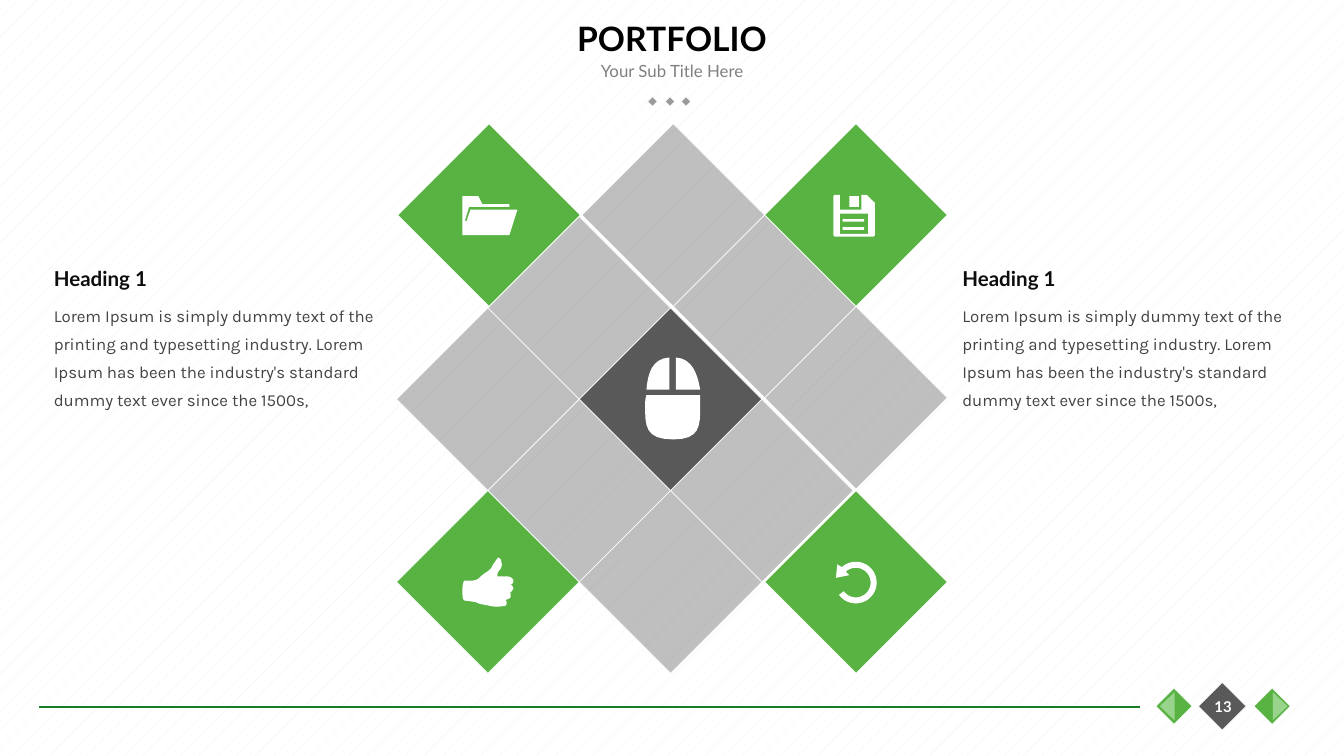
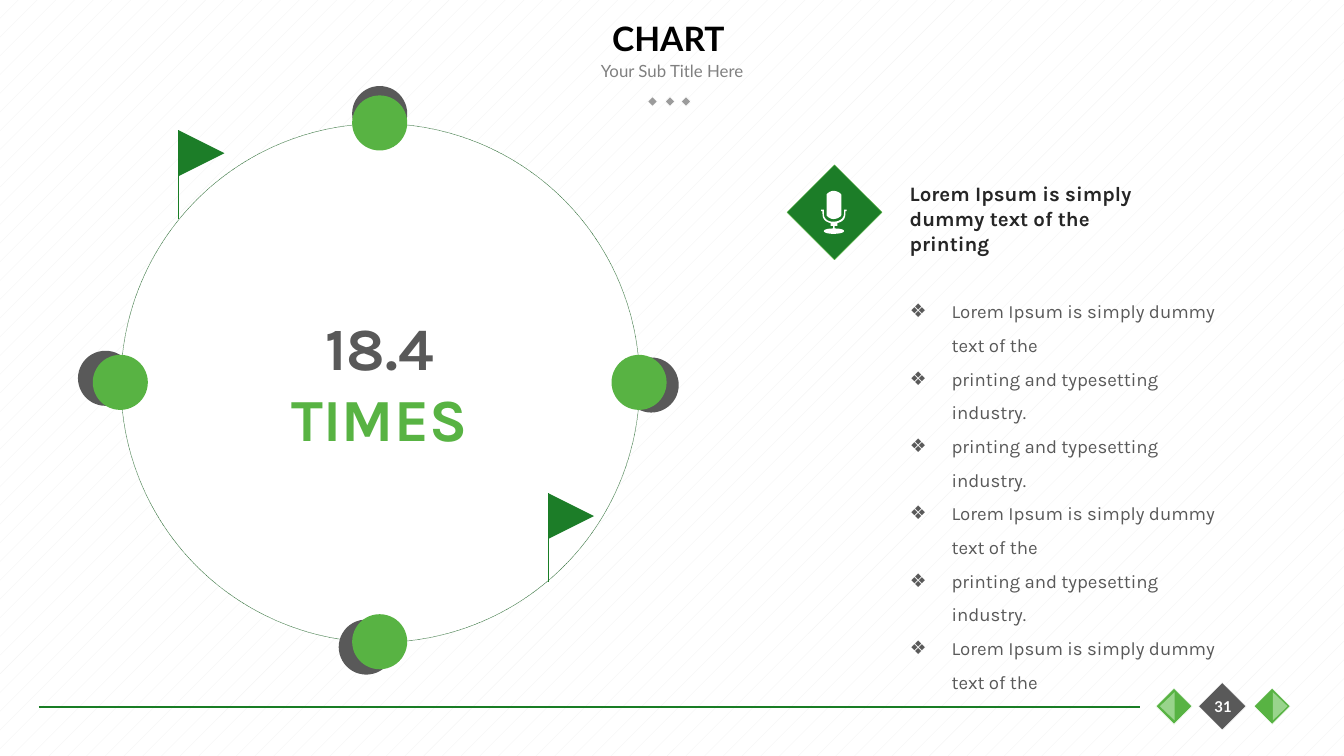
from math import cos, radians, sin

from lxml.etree import SubElement
from pptx import Presentation
from pptx.dml.color import RGBColor
from pptx.enum.dml import MSO_LINE, MSO_PATTERN
from pptx.enum.shapes import MSO_CONNECTOR, MSO_SHAPE
from pptx.enum.text import MSO_ANCHOR, MSO_AUTO_SIZE, PP_ALIGN
from pptx.oxml.ns import qn
from pptx.util import Inches, Pt

GREEN = "58B343"
DARK_GREEN = "1C7D28"
LINE_GREEN = "197D25"
LIGHT_GREEN = "99D48C"
GRAY = "595959"
WHITE = "FFFFFF"
HEAD_FONT = "Lato"
BODY_FONT = "Karla"
TILE = 0.96
TILE_STEP = 0.68
DOT = 0.41

LOREM = (
    "Lorem Ipsum is simply dummy text of the printing and typesetting industry. "
    "Lorem Ipsum has been the industry's standard dummy text ever since the 1500s,"
)
SIMPLY = "Lorem Ipsum is simply dummy text of the"
PRINTING = "printing and typesetting industry."

FOLDER = [
    [(379, 156), (350, 156), (347, 165), (346, 164), (349, 154), (379, 154), (379, 152),
     (359, 152), (356, 146), (344, 146), (344, 175), (379, 175), (385, 156)],
]
DISK = [
    [(639, 154), (632, 154), (632, 146), (639, 146)],
    [(643, 165), (643, 163), (627, 163), (627, 165)],
    [(643, 171), (643, 169), (627, 169), (627, 171)],
    [(651, 151), (651, 175), (650, 176), (621, 176), (620, 175), (620, 146), (621, 145),
     (625, 145), (625, 156), (641, 156), (641, 145), (645, 145)],
    [(646, 159), (625, 159), (625, 174), (646, 174)],
]
THUMB = [
    [(379, 435), (381, 435, 382, 434, 382, 432), (382, 431, 380, 429, 378, 429),
     (376, 429, 373, 429, 370, 429), (370, 427, 370, 427, 371, 425),
     (373, 423, 374, 421, 373, 418), (373, 417, 372, 415, 371, 415),
     (370, 415, 370, 416, 369, 417), (368, 419, 367, 419, 366, 422),
     (365, 423, 365, 424, 360, 427), (356, 430, 357, 431, 352, 432),
     (351, 432, 349, 432, 346, 432), (345, 432, 344, 434, 344, 440),
     (344, 446, 345, 447, 346, 447), (349, 447, 352, 448, 354, 448),
     (357, 450, 362, 450, 365, 451), (371, 452, 373, 451, 375, 451),
     (376, 451, 377, 450, 377, 449), (377, 448, 377, 447, 376, 447), (377, 446),
     (378, 446, 380, 445, 380, 444), (380, 442, 380, 441, 379, 441),
     (380, 441, 381, 440, 382, 438), (382, 437, 381, 435, 379, 435)],
]
MOUSE = [
    [(521, 294), (481, 294), (480, 297, 480, 299, 480, 302),
     (480, 317, 480, 327, 501, 327), (521, 327, 521, 317, 521, 302),
     (521, 299, 521, 297, 521, 294)],
    [(503, 266), (503, 290), (521, 290), (519, 278, 515, 267, 503, 266)],
    [(498, 266), (485, 267, 482, 278, 481, 290), (498, 290)],
]
MICROPHONE = [
    [(630, 156), (628, 156), (628, 159), (628, 163, 624, 165, 620, 165),
     (616, 165, 613, 163, 613, 159), (613, 156), (611, 156), (611, 157), (612, 157),
     (612, 159), (612, 163, 614, 165, 618, 166), (618, 168), (620, 168), (620, 170),
     (615, 170, 613, 171, 613, 172), (613, 173, 616, 174, 620, 174),
     (625, 174, 628, 173, 628, 172), (628, 171, 626, 170, 621, 170), (621, 168),
     (623, 168), (623, 166), (627, 165, 629, 163, 629, 159), (629, 157), (630, 157)],
    [(620, 163), (623, 163, 626, 161, 626, 160), (626, 145),
     (626, 144, 623, 142, 620, 142), (618, 142, 615, 144, 615, 145), (615, 160),
     (615, 161, 618, 163, 620, 163)],
]


def color(value):
    return RGBColor.from_string(value)


def style_paragraph(paragraph, size, font, fill, bold=False, align=PP_ALIGN.LEFT,
                    spacing=1.0, bullet=None):
    properties = paragraph._p.get_or_add_pPr()
    indent = Inches(0.31) if bullet else 0
    properties.set("marL", str(indent))
    properties.set("indent", str(-indent))
    if bullet:
        SubElement(properties, qn("a:buChar"), char=bullet)
    else:
        SubElement(properties, qn("a:buNone"))
    paragraph.alignment = align
    paragraph.line_spacing = spacing
    paragraph.space_before = Pt(0)
    paragraph.font.size = Pt(size)
    paragraph.font.name = font
    paragraph.font.bold = bold
    paragraph.font.color.rgb = color(fill)


def fill_text(shape, lines, size, font, fill, anchor=MSO_ANCHOR.TOP, **style):
    frame = shape.text_frame
    frame.word_wrap = True
    frame.auto_size = MSO_AUTO_SIZE.NONE
    frame.vertical_anchor = anchor
    frame.text = "\n".join(lines)
    for paragraph in frame.paragraphs:
        style_paragraph(paragraph, size, font, fill, **style)


def add_text(slide, left, top, width, height, lines, *look, **style):
    box = slide.shapes.add_textbox(Inches(left), Inches(top), Inches(width), Inches(height))
    fill_text(box, lines, *look, **style)
    return box


def place_text(placeholder, left, top, width, height, lines, *look, **style):
    placeholder.left, placeholder.top = Inches(left), Inches(top)
    placeholder.width, placeholder.height = Inches(width), Inches(height)
    fill_text(placeholder, lines, *look, **style)


def paint(shape, fill, line=None, opacity=None):
    shape.shadow.inherit = False
    shape.fill.solid()
    shape.fill.fore_color.rgb = color(fill)
    if opacity:
        tint = shape._element.spPr.find(qn("a:solidFill")).find(qn("a:srgbClr"))
        SubElement(tint, qn("a:alpha"), val=str(opacity * 1000))
    if line:
        shape.line.color.rgb = color(line)
        shape.line.width = Pt(0.25)
    else:
        shape.line.fill.background()


def add_preset(slide, kind, left, top, width, height, fill, line=None, rotation=0, opacity=None):
    shape = slide.shapes.add_shape(
        kind, Inches(left), Inches(top), Inches(width), Inches(height))
    shape.rotation = rotation
    paint(shape, fill, line, opacity)
    return shape


def add_diamond(slide, left, top, side, fill, line=WHITE, opacity=None):
    add_preset(slide, MSO_SHAPE.RECTANGLE, left, top, side, side, fill, line, 315, opacity)


def add_line(slide, start, end):
    line = slide.shapes.add_connector(
        MSO_CONNECTOR.STRAIGHT, *(Inches(value) for value in start + end))
    line.line.color.rgb = color(LINE_GREEN)
    line.line.width = Pt(0.75)
    SubElement(line._element.spPr, qn("a:effectLst"))


def flatten(contour, steps=8):
    points = []
    for segment in contour:
        if len(segment) == 2:
            points.append(segment)
            continue
        nodes = [points[-1], segment[:2], segment[2:4], segment[4:]]
        for step in range(1, steps + 1):
            t = step / steps
            weights = ((1 - t) ** 3, 3 * t * (1 - t) ** 2, 3 * t * t * (1 - t), t ** 3)
            points.append(tuple(
                sum(weight * node[axis] for weight, node in zip(weights, nodes))
                for axis in (0, 1)))
    return points


def add_icon(slide, contours):
    builder = None
    for contour in contours:
        points = [(Inches(x / 100), Inches(y / 100)) for x, y in flatten(contour)]
        if builder is None:
            builder = slide.shapes.build_freeform(*points[0])
        else:
            builder.move_to(*points[0])
        builder.add_line_segments(points[1:], close=True)
    paint(builder.convert_to_shape(), WHITE)


def undo_contours():
    def arc(radius, angles):
        return [(636.8 + radius * cos(radians(angle)), 433.5 + radius * sin(radians(angle)))
                for angle in angles]

    arrow_head = [(629, 425), (632, 428), (622, 430), (623, 420)]
    sweep = range(-132, 147, 6)
    return [arc(15.5, sweep) + arc(11, reversed(sweep)) + arrow_head]


def add_base_slide(presentation, layout_index, title, number):
    slide = presentation.slides.add_slide(presentation.slide_layouts[layout_index])
    background = slide.background.fill
    background.patterned()
    background.pattern = MSO_PATTERN.PERCENT_5
    background.fore_color.rgb = color("F2F2F2")
    background.back_color.rgb = color(WHITE)
    centered = {"anchor": MSO_ANCHOR.MIDDLE, "align": PP_ALIGN.CENTER}
    for left in (4.83, 4.96, 5.08):
        add_diamond(slide, left, 0.73, 0.05, "9B9B9B")
    add_text(slide, 3.75, 0.4, 2.5, 0.25, ["Your Sub Title Here"],
             9, HEAD_FONT, "808080", **centered)
    add_line(slide, (0.29, 5.26), (8.48, 5.26))
    add_diamond(slide, 8.97, 5.13, 0.25, GRAY)
    for diamond_left, half_left, rotation in ((9.37, 9.42, 90), (8.64, 8.58, 270)):
        add_diamond(slide, diamond_left, 5.16, 0.19, GREEN)
        add_preset(slide, MSO_SHAPE.FLOWCHART_EXTRACT, half_left, 5.2, 0.21, 0.11,
                   LIGHT_GREEN, rotation=rotation)
    place_text(slide.shapes.title, 0.75, 0, 8.5, 0.56, [title],
               18, HEAD_FONT, "000000", bold=True, **centered)
    add_text(slide, 8.89, 5.13, 0.42, 0.25, [number],
             8, HEAD_FONT, WHITE, bold=True, **centered)
    return slide


def add_portfolio(presentation):
    slide = add_base_slide(presentation, 4, "PORTFOLIO", "13")
    for left, heading, body in ((0.3, 1, 2), (7.06, 3, 4)):
        place_text(slide.placeholders[heading], left, 1.93, 1.28, 0.29, ["Heading 1"],
                   11, HEAD_FONT, "0D0D0D", bold=True)
        place_text(slide.placeholders[body], left, 2.17, 2.73, 0.94, [LOREM],
                   9, BODY_FONT, "434343", spacing=Pt(15))
    for row, (left, top) in enumerate(((4.53, 1.12), (3.83, 1.81), (3.15, 2.49))):
        for column in range(3):
            center = row == column == 1
            add_diamond(slide, left + column * TILE_STEP, top + column * TILE_STEP, TILE,
                        GRAY if center else "494949", opacity=None if center else 35)
    for left, top in ((5.89, 1.12), (3.15, 3.85), (3.16, 1.12), (5.89, 3.85)):
        add_diamond(slide, left, top, TILE, GREEN)
    for contours in (FOLDER, DISK, undo_contours(), THUMB, MOUSE):
        add_icon(slide, contours)


def add_flag(slide, left, top):
    add_preset(slide, MSO_SHAPE.FLOWCHART_MERGE, left, top, 0.34, 0.34, DARK_GREEN, rotation=270)
    add_line(slide, (left, top), (left, top + 0.66))


def add_circle_chart(presentation):
    slide = add_base_slide(presentation, 1, "CHART ", "31")
    add_text(slide, 6.67, 1.3, 2.03, 0.47, ["Lorem Ipsum is simply dummy text of the printing"],
             11, BODY_FONT, "262626", bold=True)
    place_text(slide.placeholders[1], 6.67, 2.1, 2.5, 2.37,
               [SIMPLY, PRINTING, PRINTING, SIMPLY, PRINTING, SIMPLY],
               10, BODY_FONT, GRAY, spacing=1.5, bullet="❖")
    add_diamond(slide, 5.96, 1.33, 0.5, DARK_GREEN, GREEN)
    add_icon(slide, MICROPHONE)
    ring = add_preset(slide, MSO_SHAPE.OVAL, 0.9, 0.92, 3.86, 3.86, WHITE, "155C1E")
    ring.line.dash_style = MSO_LINE.ROUND_DOT
    for back, front in (((4.64, 2.66), (4.55, 2.64)), ((2.62, 0.64), (2.62, 0.71)),
                        ((2.52, 4.61), (2.62, 4.57)), ((0.58, 2.61), (0.69, 2.64))):
        add_preset(slide, MSO_SHAPE.OVAL, *back, DOT, DOT, GRAY)
        add_preset(slide, MSO_SHAPE.OVAL, *front, DOT, DOT, GREEN)
    figure = add_text(slide, 1.81, 2.26, 2.03, 1.18, ["18.4", "TIMES"],
                      32, BODY_FONT, GRAY, bold=True, align=PP_ALIGN.CENTER)
    figure.text_frame.paragraphs[1].font.color.rgb = color(GREEN)
    add_flag(slide, 4.08, 3.67)
    add_flag(slide, 1.33, 0.97)


def main():
    presentation = Presentation()
    presentation.slide_width = Inches(10)
    presentation.slide_height = Inches(10) * 9 // 16
    add_portfolio(presentation)
    add_circle_chart(presentation)
    presentation.save("out.pptx")


if __name__ == "__main__":
    main()
